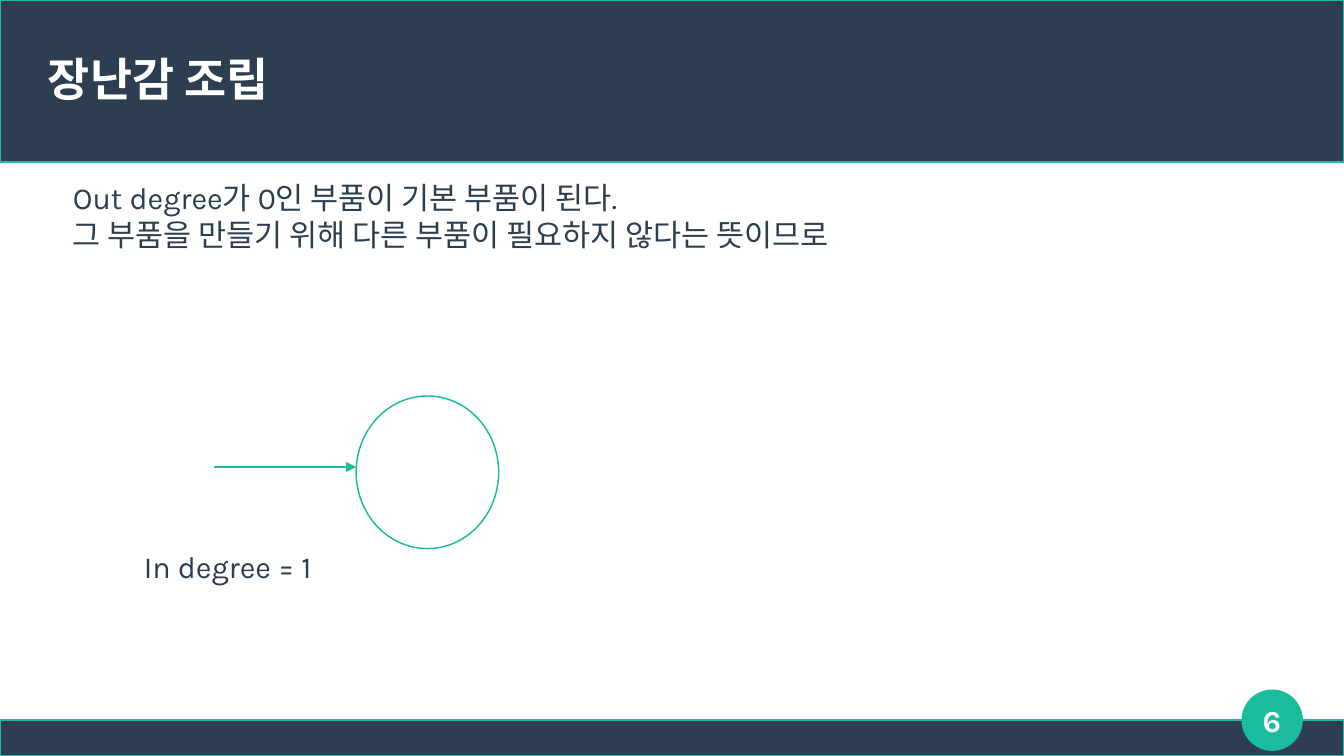
import pptx
import pptx.util
import pptx.dml.color
import pptx.enum.shapes
import pptx.enum.text
import pptx.oxml
import pptx.oxml.ns

Cm = pptx.util.Cm
Pt = pptx.util.Pt
RGBColor = pptx.dml.color.RGBColor
MSO_SHAPE = pptx.enum.shapes.MSO_SHAPE
MSO_ANCHOR = pptx.enum.text.MSO_ANCHOR
PP_ALIGN = pptx.enum.text.PP_ALIGN

NAVY = RGBColor(0x2C, 0x3E, 0x50)
GREEN = RGBColor(0x1A, 0xBC, 0x9C)
WHITE = RGBColor(0xFF, 0xFF, 0xFF)
FONT = "Karla"
LINE_WIDTH = Pt(0.85)

prs = pptx.Presentation()
prs.slide_width = Cm(28)
prs.slide_height = Cm(15.75)
s = prs.slides.add_slide(prs.slide_layouts[6])


def add_outlined(kind, left, top, width, height, fill):
    sp = s.shapes.add_shape(kind, Cm(left), Cm(top), Cm(width), Cm(height))
    sp.shadow.inherit = False
    sp.fill.solid()
    sp.fill.fore_color.rgb = fill
    sp.line.color.rgb = GREEN
    sp.line.width = LINE_WIDTH


def add_text(left, top, width, height, lines, size, color, bold, align, anchor, inset):
    sp = s.shapes.add_textbox(Cm(left), Cm(top), Cm(width), Cm(height))
    tf = sp.text_frame
    tf.word_wrap = True
    tf.vertical_anchor = anchor
    tf.margin_left = tf.margin_right = Cm(inset)
    tf.margin_top = tf.margin_bottom = Cm(inset / 2)
    for i, line in enumerate(lines):
        p = tf.add_paragraph() if i else tf.paragraphs[0]
        p.alignment = align
        r = p.add_run()
        r.text = line
        r.font.name = FONT
        r.font.size = Pt(size)
        r.font.bold = bold
        r.font.color.rgb = color


add_outlined(MSO_SHAPE.RECTANGLE, 0, 15, 28, 0.75, NAVY)
add_outlined(MSO_SHAPE.RECTANGLE, 0, 0, 28, 3.38, NAVY)
add_outlined(MSO_SHAPE.OVAL, 25.88, 14.38, 1.25, 1.25, GREEN)
add_text(1, 0.63, 26, 2, ["장난감 조립"], 27, WHITE, True,
         PP_ALIGN.LEFT, MSO_ANCHOR.MIDDLE, 0)

add_outlined(MSO_SHAPE.OVAL, 7.42, 8.25, 2.97, 3.18, WHITE)

arrow = s.shapes.add_connector(pptx.enum.shapes.MSO_CONNECTOR.STRAIGHT,
                               Cm(4.45), Cm(9.73), Cm(7.42), Cm(9.73))
arrow.line.color.rgb = GREEN
arrow.line.width = LINE_WIDTH
tail = pptx.oxml.parse_xml(
    "<a:tailEnd %s type='triangle'/>" % pptx.oxml.ns.nsdecls("a"))
arrow.line._get_or_add_ln().append(tail)
arrow._element.spPr.append(
    pptx.oxml.parse_xml("<a:effectLst %s/>" % pptx.oxml.ns.nsdecls("a")))

add_text(1.27, 3.61, 17.78, 3.02,
         ["Out degree가 0인 부품이 기본 부품이 된다.",
          "그 부품을 만들기 위해 다른 부품이 필요하지 않다는 뜻이므로"],
         18, NAVY, False, PP_ALIGN.LEFT, MSO_ANCHOR.TOP, 0.25)
add_text(2.51, 10.8, 4.47, 1.98, ["In degree = 1"], 18, NAVY, False,
         PP_ALIGN.CENTER, MSO_ANCHOR.MIDDLE, 0.25)
add_text(25.5, 14.38, 2, 1.25, ["6"], 18, WHITE, True,
         PP_ALIGN.CENTER, MSO_ANCHOR.MIDDLE, 0)

prs.save("out.pptx")
